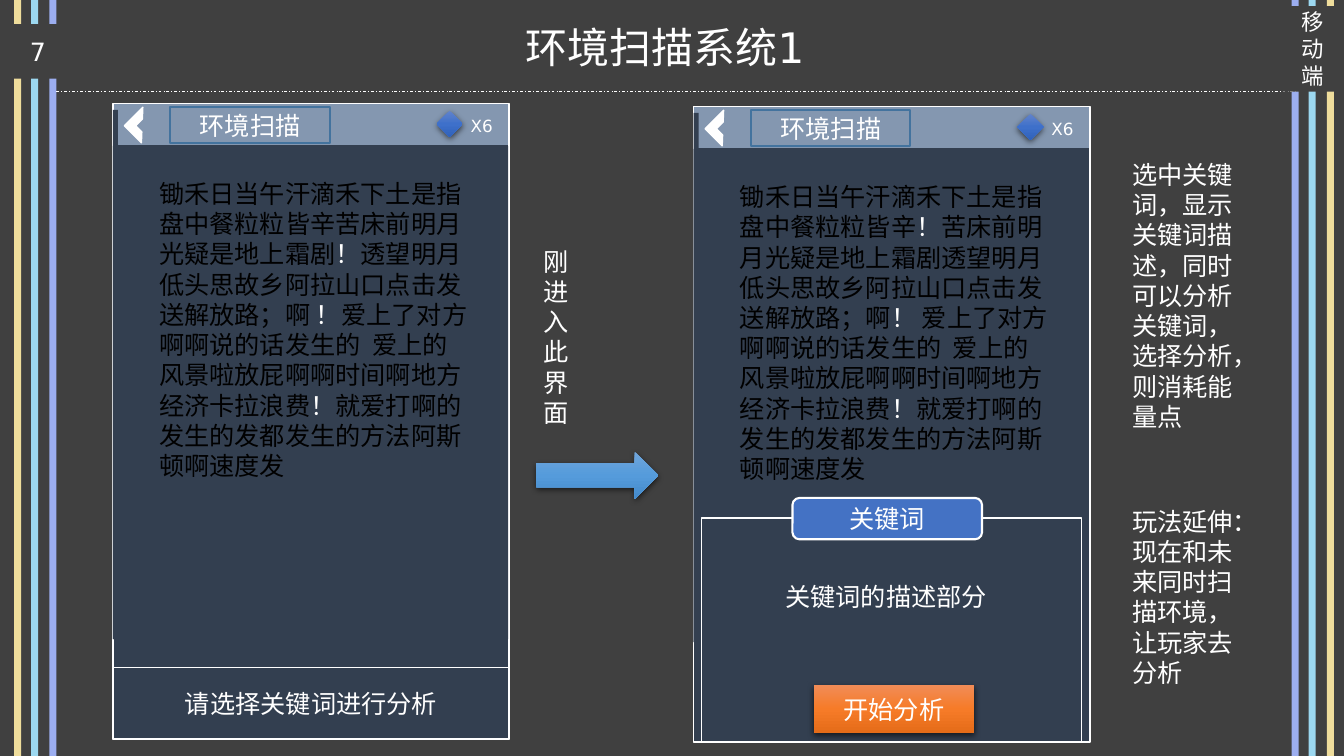
"""Build the slide that shows the two states of the environment scan screen."""
from pptx import Presentation
from pptx.dml.color import RGBColor
from pptx.enum.dml import MSO_LINE
from pptx.enum.shapes import MSO_CONNECTOR, MSO_SHAPE as SHAPE
from pptx.enum.text import MSO_ANCHOR, MSO_AUTO_SIZE, PP_ALIGN
from pptx.oxml import parse_xml
from pptx.oxml.ns import nsdecls
from pptx.util import Inches, Pt

FONT = "DejaVu Sans"
WHITE = RGBColor(0xFF, 0xFF, 0xFF)
BLACK = RGBColor(0x00, 0x00, 0x00)
BACKGROUND = RGBColor(0x40, 0x40, 0x40)
NAVY = RGBColor(0x33, 0x3F, 0x50)
SLATE = RGBColor(0x84, 0x97, 0xB0)
TITLE_BORDER = RGBColor(0x43, 0x73, 0x9E)
KEYWORD_BLUE = RGBColor(0x44, 0x72, 0xC4)
LILAC = RGBColor(0x9C, 0xAE, 0xF0)
SKY = RGBColor(0x9C, 0xD8, 0xF0)
SAND = RGBColor(0xEF, 0xDD, 0x9C)

DIAMOND_GRADIENT = ("6183CB", "3E70CA", "3062BB")
BUTTON_GRADIENT = ("F18C57", "F67B28", "E56C19")
ARROW_GRADIENT = ("71A6DB", "559BDB", "448ACA")

STRIPES = [(12.81, LILAC), (12.98, SKY), (13.16, SAND),
           (0.49, LILAC), (0.31, SKY), (0.14, SAND)]
CORNERS = [("7", (0, 0.24, 0.75, 0.54), 18),
           ("移动端", (12.71, 0.06, 0.62, 0.85), 16)]
TITLE = "环境扫描系统1"
SCREEN_TITLE = "环境扫描"
ENERGY = "X6"
PROMPT = "请选择关键词进行分析"
KEYWORD_MARK = "！"
SCREENS = [
    (1.12, 1.03,
     "锄禾日当午汗滴禾下土是指盘中餐粒粒皆辛苦床前明月光疑是地上霜剧！"
     "透望明月低头思故乡阿拉山口点击发送解放路；啊 ！"
     "爱上了对方啊啊说的话发生的  爱上的风景啦放屁啊啊时间啊地方经济卡拉浪费！"
     "就爱打啊的发生的发都发生的方法阿斯顿啊速度发"),
    (6.88, 1.06,
     "锄禾日当午汗滴禾下土是指盘中餐粒粒皆辛！"
     "苦床前明月光疑是地上霜剧透望明月低头思故乡阿拉山口点击发送解放路；啊！"
     " 爱上了对方啊啊说的话发生的  爱上的风景啦放屁啊啊时间啊地方经济卡拉浪费！"
     "就爱打啊的发生的发都发生的方法阿斯顿啊速度发"),
]
NOTES = [
    ("刚进入此界面", (5.29, 2.39, 0.5, 1.92)),
    ("关键词的描述部分", (7.69, 5.72, 2.36, 0.4)),
    ("选中关键词，显示关键词描述，同时可以分析关键词，选择分析，则消耗能量点",
     (11.13, 1.53, 1.42, 2.83)),
    ("玩法延伸：现在和未来同时扫描环境，让玩家去分析", (11.13, 4.97, 1.42, 1.92)),
]

presentation = Presentation()
presentation.slide_width = Inches(13.33)
presentation.slide_height = Inches(7.5)
slide = presentation.slides.add_slide(presentation.slide_layouts[6])
slide.background.fill.solid()
slide.background.fill.fore_color.rgb = BACKGROUND


def style_run(run, size, color=WHITE):
    run.font.name = FONT
    run.font.size = Pt(size)
    run.font.color.rgb = color


def add_box(kind, box, fill=None, border=None, width=1, text="", size=18):
    shape = slide.shapes.add_shape(kind, *map(Inches, box))
    shape.shadow.inherit = False
    if fill is None:
        shape.fill.background()
    else:
        shape.fill.solid()
        shape.fill.fore_color.rgb = fill
    if border is None:
        shape.line.fill.background()
    else:
        shape.line.color.rgb = border
        shape.line.width = Pt(width)
    if text:
        frame = shape.text_frame
        frame.text = text
        frame.word_wrap = True
        frame.vertical_anchor = MSO_ANCHOR.MIDDLE
        frame.paragraphs[0].alignment = PP_ALIGN.CENTER
        style_run(frame.paragraphs[0].runs[0], size)
    return shape


def add_glossy(kind, box, colors, text=""):
    shape = add_box(kind, box, text=text)
    properties = shape.element.spPr
    stops = "".join(f'<a:gs pos="{index * 50000}"><a:srgbClr val="{color}"/></a:gs>'
                    for index, color in enumerate(colors))
    gradient = parse_xml(f'<a:gradFill {nsdecls("a")} rotWithShape="1"><a:gsLst>{stops}</a:gsLst>'
                         '<a:lin ang="5400000" scaled="0"/></a:gradFill>')
    shadow = parse_xml(
        f'<a:effectLst {nsdecls("a")}><a:outerShdw blurRad="{Pt(4.5)}" dist="{Pt(1.5)}" '
        'dir="5400000" algn="ctr" rotWithShape="0"><a:srgbClr val="000000">'
        '<a:alpha val="63000"/></a:srgbClr></a:outerShdw></a:effectLst>')
    for tag, part in (("a:noFill", gradient), ("a:effectLst", shadow)):
        old = properties.find(tag.replace("a:", "{%s}" % properties.nsmap["a"]))
        properties.replace(old, part)


def add_line(start, end, color, width):
    line = slide.shapes.add_connector(MSO_CONNECTOR.STRAIGHT, *map(Inches, start + end))
    line.line.color.rgb = color
    line.line.width = Pt(width)
    line.element.spPr.append(parse_xml(f'<a:effectLst {nsdecls("a")}/>'))
    return line


def add_text(text, box, size=18, color=WHITE):
    text_box = slide.shapes.add_textbox(*map(Inches, box))
    frame = text_box.text_frame
    frame.word_wrap = True
    frame.auto_size = MSO_AUTO_SIZE.SHAPE_TO_FIT_TEXT
    frame.text = text
    style_run(frame.paragraphs[0].runs[0], size, color)
    return frame


def add_story(text, box):
    first, *rest = text.split(KEYWORD_MARK)
    paragraph = add_text(first, box, color=BLACK).paragraphs[0]
    for part in rest:
        for piece, color in ((KEYWORD_MARK, WHITE), (part, BLACK)):
            run = paragraph.add_run()
            run.text = piece
            style_run(run, 18, color)


def add_screen(left, top, story):
    add_box(SHAPE.RECTANGLE, (left, top, 3.93, 6.3), SLATE, WHITE)
    add_line((left, top + 0.42), (left + 3.92, top + 0.42), NAVY, 2.25)
    add_box(SHAPE.RECTANGLE, (left, top + 5.26, 3.93, 1.04), NAVY, WHITE)
    add_box(SHAPE.RECTANGLE, (left, top + 0.06, 0.05, 5.25), NAVY)
    add_box(SHAPE.RECTANGLE, (left, top + 0.42, 3.92, 4.89), NAVY)
    add_box(SHAPE.RECTANGLE, (left + 0.57, top + 0.03, 1.58, 0.36),
            border=TITLE_BORDER, width=1.5, text=SCREEN_TITLE)
    back = add_box(SHAPE.HALF_FRAME, (left + 0.16, top + 0.09, 0.26, 0.24), WHITE, WHITE)
    back.rotation = 315
    add_story(story, (left + 0.36, top + 0.69, 3.26, 3.13))
    add_glossy(SHAPE.DIAMOND, (left + 3.21, top + 0.07, 0.26, 0.26), DIAMOND_GRADIENT)
    add_text(ENERGY, (left + 3.45, top + 0.07, 0.65, 0.3), 12)


for stripe_left, stripe_color in STRIPES:
    add_box(SHAPE.RECTANGLE, (stripe_left, 0, 0.07, 7.5), stripe_color)
title_frame = add_text(TITLE, (4.15, 0.14, 4.89, 0.64), 30)
title_frame.auto_size = MSO_AUTO_SIZE.NONE
title_frame.vertical_anchor = MSO_ANCHOR.MIDDLE
title_frame.paragraphs[0].alignment = PP_ALIGN.CENTER
add_line((0.56, 0.91), (12.85, 0.91), WHITE, 0.5).line.dash_style = MSO_LINE.DASH_DOT
for label, corner, label_size in CORNERS:
    add_box(SHAPE.RECTANGLE, corner, BACKGROUND, text=label, size=label_size)

for screen in SCREENS:
    add_screen(*screen)
add_box(SHAPE.RECTANGLE, (1.12, 6.62, 3.93, 0.71), NAVY, WHITE, text=PROMPT)
add_box(SHAPE.RECTANGLE, (6.96, 5.14, 3.77, 2.22), NAVY, WHITE)
add_box(SHAPE.ROUNDED_RECTANGLE, (7.86, 4.94, 1.88, 0.41), KEYWORD_BLUE, WHITE, 1.5, "关键词")
add_glossy(SHAPE.RECTANGLE, (8.07, 6.8, 1.59, 0.47), BUTTON_GRADIENT, "开始分析")
add_glossy(SHAPE.RIGHT_ARROW, (5.32, 4.48, 1.21, 0.47), ARROW_GRADIENT)
for note, note_box in NOTES:
    add_text(note, note_box)

presentation.save("out.pptx")
